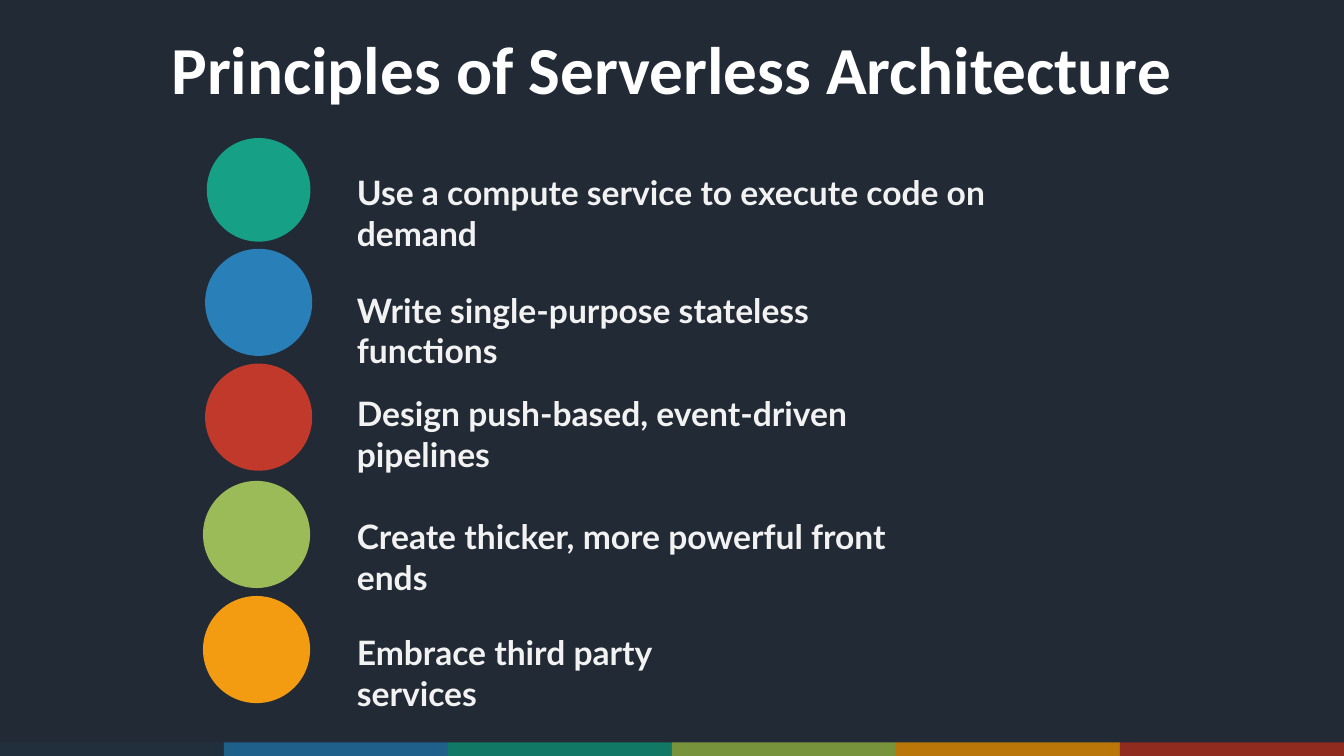
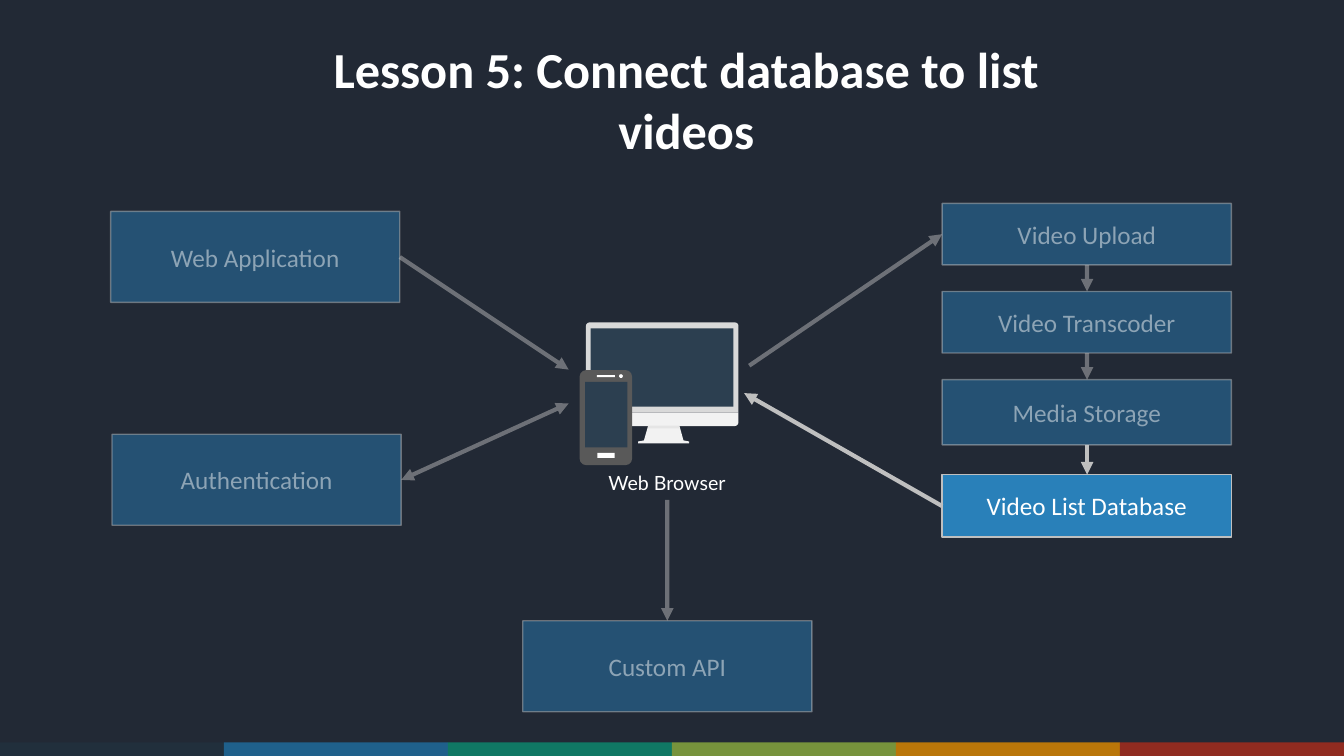
from dataclasses import dataclass

from lxml import etree
from pptx import Presentation
from pptx.dml.color import RGBColor
from pptx.enum import shapes as es, text as et
from pptx.oxml import ns
from pptx.util import Pt

SLIDE_WIDTH, SLIDE_HEIGHT = 960, 540
BAND_TOP = 530.3
BAND_COLOURS = ("212F3C", "1F608B", "107864", "77933C", "BA7609", "902B20")
WHITE, PALE, LINE_GREY, BLUE, SCREEN = "FFFFFF", "F2F2F2", "BFBFBF", "2980B9", "2C3F50"
HEADING_FONT, BODY_FONT = "Calibri", "Lato"
FADED = 47
LINE_HEIGHT = 28.8
RECT = es.MSO_SHAPE.RECTANGLE


@dataclass(frozen=True)
class Frame:
    left: float
    top: float
    width: float
    height: float

    def lengths(self) -> tuple:
        return Pt(self.left), Pt(self.top), Pt(self.width), Pt(self.height)


@dataclass(frozen=True)
class Principle:
    wording: str
    text_top: float
    colour: str
    circle: Frame


@dataclass(frozen=True)
class Component:
    label: str
    frame: Frame
    opacity: int = FADED


@dataclass(frozen=True)
class Flow:
    start: tuple[float, float]
    end: tuple[float, float]
    opacity: int = FADED
    two_way: bool = False


PRINCIPLES = (
    Principle("Use a compute service to execute code on\vdemand", 119.5, "16A085",
              Frame(147.7, 98.6, 74, 74)),
    Principle("Write single-purpose stateless\vfunctions", 203.5, "2980B9",
              Frame(146.5, 177.7, 76.5, 76.5)),
    Principle("Design push-based, event-driven\vpipelines", 277.2, "C0392B",
              Frame(146.5, 259.7, 76.5, 76.5)),
    Principle("Create thicker, more powerful front\vends", 365.2, "9BBB59",
              Frame(145, 343.5, 76.5, 76.5)),
    Principle("Embrace third party\vservices", 448, "F39C12",
              Frame(145, 425.7, 76.5, 76.5)),
)

COMPONENTS = (
    Component("Web Application", Frame(79, 151, 206.6, 65)),
    Component("Authentication", Frame(80, 310.2, 206.6, 65)),
    Component("Custom API", Frame(373.4, 443.4, 206.6, 65)),
    Component("Video Upload", Frame(673, 145.3, 206.6, 44)),
    Component("Video Transcoder", Frame(673, 208.2, 206.6, 44)),
    Component("Media Storage", Frame(673, 271.2, 206.6, 46.6)),
    Component("Video List Database", Frame(673, 339, 206.6, 44.6), 100),
)

FLOWS = (
    Flow((285.6, 183.6), (406.2, 264)),
    Flow((286.6, 342.8), (406.2, 288.2), two_way=True),
    Flow((476.7, 357), (476.7, 443.4)),
    Flow((535.2, 261.2), (673, 167.3)),
    Flow((776.5, 189.3), (776.5, 208.2)),
    Flow((776.5, 252.2), (776.5, 271.2)),
    Flow((776.5, 317.8), (776.5, 339), 100),
    Flow((673, 361.5), (531.5, 280.8), 100),
)


def rgb(colour: str) -> RGBColor:
    return RGBColor.from_string(colour)


def fade(shape, opacity: int) -> None:
    """Give every colour of the shape the same opacity, in percent."""
    if opacity < 100:
        for colour in list(shape.element.iter(ns.qn("a:srgbClr"))):
            etree.SubElement(colour, ns.qn("a:alpha"), val=str(opacity * 1000))


def style(paragraph, size: float, font: str, colour: str, bold: bool = False) -> None:
    paragraph.font.size = Pt(size)
    paragraph.font.name = font
    paragraph.font.bold = bold
    paragraph.font.color.rgb = rgb(colour)


def paint(shape, colour: str):
    """Fill a shape flat, with neither outline nor shadow."""
    shape.shadow.inherit = False
    shape.fill.solid()
    shape.fill.fore_color.rgb = rgb(colour)
    shape.line.fill.background()
    return shape


def add_filled(slide, kind, frame: Frame, colour: str):
    return paint(slide.shapes.add_shape(kind, *frame.lengths()), colour)


def place(shape, frame: Frame) -> None:
    shape.left, shape.top, shape.width, shape.height = frame.lengths()
    box = shape.text_frame
    box.word_wrap = True
    box.auto_size = et.MSO_AUTO_SIZE.NONE
    box.vertical_anchor = et.MSO_ANCHOR.TOP


def start_slide(deck, layout: int, background: str, title: str, frame: Frame, size: float):
    """Add a slide with its background, colour bands and title."""
    slide = deck.slides.add_slide(deck.slide_layouts[layout])
    slide.background.fill.solid()
    slide.background.fill.fore_color.rgb = rgb(background)
    width = SLIDE_WIDTH / len(BAND_COLOURS)
    for index, colour in enumerate(BAND_COLOURS):
        add_filled(slide, RECT,
                   Frame(index * width, BAND_TOP, width, SLIDE_HEIGHT - BAND_TOP), colour)
    heading = slide.shapes.title
    heading.text_frame.text = title
    place(heading, frame)
    paragraph = heading.text_frame.paragraphs[0]
    paragraph.alignment = et.PP_ALIGN.CENTER
    style(paragraph, size, HEADING_FONT, WHITE, bold=True)
    return slide


def add_principles(slide) -> None:
    first_top = PRINCIPLES[0].text_top
    body = slide.placeholders[1]
    place(body, Frame(247.7, first_top, 512.6, 394))
    body.text_frame.text = "\n".join(item.wording for item in PRINCIPLES)
    text_bottom = first_top
    for item, paragraph in zip(PRINCIPLES, body.text_frame.paragraphs):
        add_filled(slide, es.MSO_SHAPE.OVAL, item.circle, item.colour)
        paragraph.line_spacing = 1.0
        paragraph.space_before = Pt(round(item.text_top - text_bottom, 1))
        paragraph.space_after = Pt(0)
        text_bottom = item.text_top + 2 * LINE_HEIGHT
        properties = paragraph._p.get_or_add_pPr()
        properties.set("marL", "0")
        properties.set("indent", "0")
        etree.SubElement(properties, ns.qn("a:buNone"))
        style(paragraph, 24, BODY_FONT, PALE, bold=True)


def add_component(slide, component: Component) -> None:
    box = add_filled(slide, RECT, component.frame, BLUE)
    box.line.color.rgb = rgb(LINE_GREY)
    box.line.width = Pt(1)
    box.text_frame.text = component.label
    box.text_frame.word_wrap = True
    box.text_frame.vertical_anchor = et.MSO_ANCHOR.MIDDLE
    label = box.text_frame.paragraphs[0]
    label.alignment = et.PP_ALIGN.CENTER
    style(label, 18, HEADING_FONT, WHITE)
    fade(box, component.opacity)


def add_flow(slide, flow: Flow) -> None:
    arrow = slide.shapes.add_connector(
        es.MSO_CONNECTOR.STRAIGHT, *(Pt(value) for value in flow.start + flow.end))
    arrow.line.color.rgb = rgb(LINE_GREY)
    arrow.line.width = Pt(3)
    outline = arrow.line._get_or_add_ln()
    for end in ("headEnd", "tailEnd") if flow.two_way else ("tailEnd",):
        etree.SubElement(outline, ns.qn(f"a:{end}"), type="triangle")
    etree.SubElement(arrow.element.spPr, ns.qn("a:effectLst"))
    fade(arrow, flow.opacity)


def add_monitor(slide) -> None:
    rounded_top = es.MSO_SHAPE.ROUND_2_SAME_RECTANGLE
    bezel = add_filled(slide, rounded_top, Frame(418.5, 230.3, 109, 64.5), "D9D9D9")
    bezel.adjustments[0] = 0.04
    chin = add_filled(slide, rounded_top, Frame(418.5, 294.8, 109, 9.5), PALE)
    chin.rotation = 180
    chin.adjustments[0] = 0.28
    outline = [(455.8, 316.8), (455.8, 315.4), (460, 314.6), (463, 304),
               (485.3, 304), (488.2, 314.6), (492.3, 315.4), (492.3, 316.8)]
    corners = [(Pt(x), Pt(y)) for x, y in outline]
    stand = slide.shapes.build_freeform(*corners[0])
    stand.add_line_segments(corners[1:], close=True)
    paint(stand.convert_to_shape(), PALE)
    add_filled(slide, RECT, Frame(422, 234.5, 102, 56), SCREEN)
    fade(add_filled(slide, RECT, Frame(463, 304, 22.5, 2), "000000"), 5)


def add_phone(slide) -> None:
    case = add_filled(slide, es.MSO_SHAPE.ROUNDED_RECTANGLE,
                      Frame(414, 264.3, 37.6, 68), "595959")
    case.adjustments[0] = 0.13
    add_filled(slide, RECT, Frame(418, 272.7, 30.2, 46.8), SCREEN)
    speaker, button = Frame(426.3, 268, 13, 1.5), Frame(426.8, 323.4, 12.3, 3.7)
    for detail in (speaker, button):
        add_filled(slide, RECT, detail, WHITE)
    add_filled(slide, es.MSO_SHAPE.OVAL, Frame(442.2, 267.3, 2.7, 2.7), WHITE)


def add_browser_caption(slide) -> None:
    caption = slide.shapes.add_textbox(*Frame(425.3, 332.6, 102.2, 24.3).lengths())
    caption.text_frame.word_wrap = True
    caption.text_frame.text = "Web Browser"
    paragraph = caption.text_frame.paragraphs[0]
    paragraph.alignment = et.PP_ALIGN.CENTER
    style(paragraph, 14, BODY_FONT, WHITE)


def main() -> None:
    deck = Presentation()
    deck.slide_width, deck.slide_height = Pt(SLIDE_WIDTH), Pt(SLIDE_HEIGHT)

    principles = start_slide(deck, 1, "222A35", "Principles of Serverless Architecture",
                             Frame(111.6, 15.8, 736.6, 65.5), 48)
    add_principles(principles)

    lesson = start_slide(deck, 5, "222935", "Lesson 5: Connect database to list videos",
                         Frame(219.6, 23.8, 541.4, 94.3), 36)
    add_monitor(lesson)
    add_browser_caption(lesson)
    for component in COMPONENTS:
        add_component(lesson, component)
    for flow in FLOWS:
        add_flow(lesson, flow)
    add_phone(lesson)

    deck.save("out.pptx")


if __name__ == "__main__":
    main()
